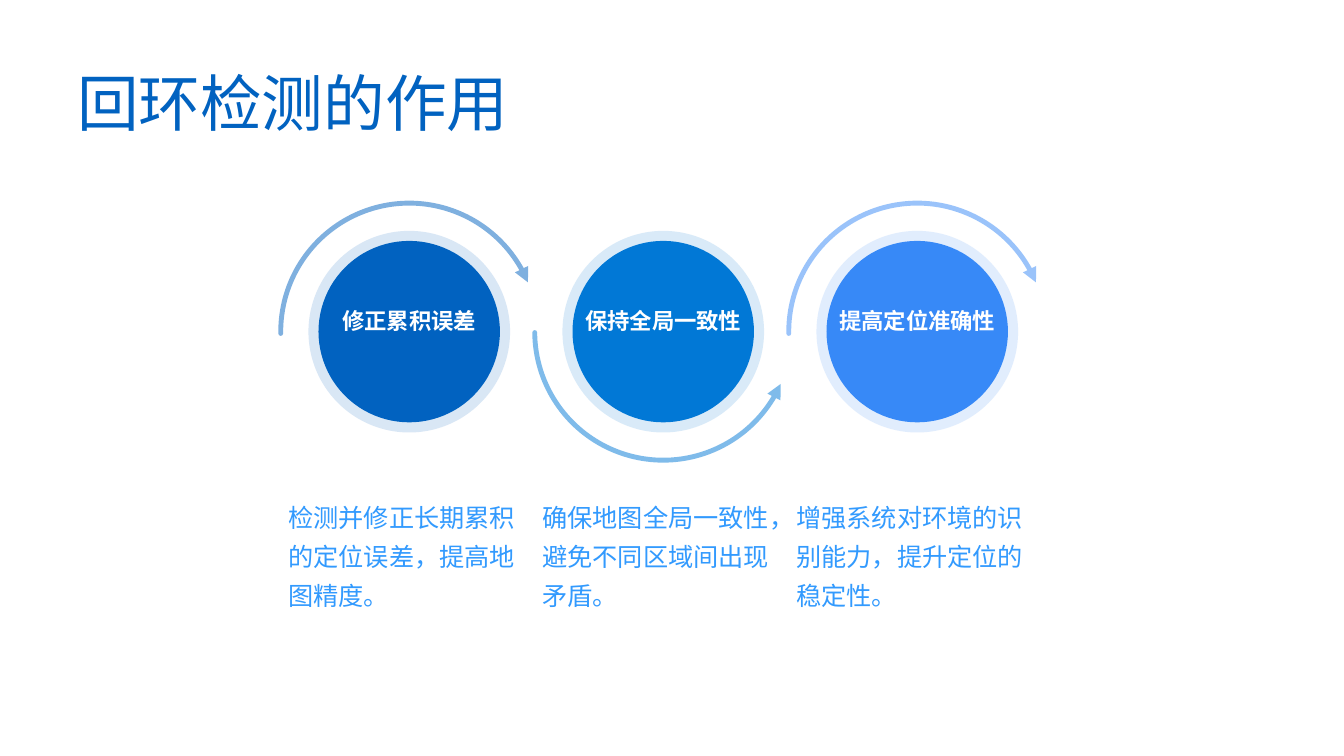
"""Build a slide on the role of loop closure detection."""
import dataclasses

import pptx
import pptx.dml.color
import pptx.enum.shapes
import pptx.enum.text
import pptx.oxml
import pptx.oxml.ns
import pptx.util

WIDTH, HEIGHT = pptx.util.Inches(13.333), pptx.util.Inches(7.5)
FONT = "Noto Sans CJK SC"
COLOURS = {
    "title": "0162C0",
    "body": "329AFE",
    "label": "FFFFFF",
    "navy": "0162C0",
    "blue": "0178D6",
    "sky": "3789F7",
}
FIRST_CENTRE, COLUMN_STEP, CENTRE_ROW = 0.3045, 0.189, 0.4387
HALO, DISC, ORBIT = 0.2667, 0.24, 0.34
SHAPES = pptx.enum.shapes.MSO_SHAPE
ALIGN = pptx.enum.text.PP_ALIGN
ANCHOR = pptx.enum.text.MSO_ANCHOR


@dataclasses.dataclass(frozen=True)
class Box:
    left: float
    top: float
    width: float
    height: float

    def lengths(self) -> tuple[int, int, int, int]:
        return (round(self.left * WIDTH), round(self.top * HEIGHT),
                round(self.width * WIDTH), round(self.height * HEIGHT))


@dataclasses.dataclass(frozen=True)
class TextStyle:
    size: int
    colour: str
    bold: bool = False
    spacing: float = 1.0
    align: ALIGN = ALIGN.LEFT
    anchor: ANCHOR = ANCHOR.TOP
    inset: float = 0.0


@dataclasses.dataclass(frozen=True)
class Arc:
    start: float
    end: float
    arrow: str


@dataclasses.dataclass(frozen=True)
class Benefit:
    label: str
    description: str
    colour: str
    arc: Arc


TITLE = TextStyle(44, "title", spacing=0.9, anchor=ANCHOR.MIDDLE, inset=0.1)
LABEL = TextStyle(16, "label", bold=True, align=ALIGN.CENTER, inset=0.04)
BODY = TextStyle(18, "body", spacing=1.3)
OVER = Arc(22.55, 180.8, "headEnd")
UNDER = Arc(180.4, 336, "tailEnd")
BENEFITS = [
    Benefit("修正累积误差", "检测并修正长期累积的定位误差，提高地图精度。", "navy", OVER),
    Benefit("保持全局一致性", "确保地图全局一致性，避免不同区域间出现矛盾。", "blue", UNDER),
    Benefit("提高定位准确性", "增强系统对环境的识别能力，提升定位的稳定性。", "sky", OVER),
]


def rgb(name: str) -> pptx.dml.color.RGBColor:
    return pptx.dml.color.RGBColor.from_string(COLOURS[name])


def append_element(parent, tag: str, **attributes: str) -> None:
    element = pptx.oxml.parse_xml(f"<a:{tag} {pptx.oxml.ns.nsdecls('a')}/>")
    for key, value in attributes.items():
        element.set(key, value)
    parent.append(element)


def set_opacity(element, percent: int) -> None:
    colour = element.find(".//" + pptx.oxml.ns.qn("a:srgbClr"))
    append_element(colour, "alpha", val=str(percent * 1000))


def add_text(slide, box: Box, text: str, style: TextStyle) -> None:
    frame = slide.shapes.add_textbox(*box.lengths()).text_frame
    frame.word_wrap = True
    frame.vertical_anchor = style.anchor
    inset = pptx.util.Inches(style.inset)
    frame.margin_left = frame.margin_right = inset
    frame.margin_top = frame.margin_bottom = min(inset, pptx.util.Inches(0.05))
    paragraph = frame.paragraphs[0]
    paragraph.text = text
    paragraph.alignment = style.align
    paragraph.line_spacing = style.spacing
    font = paragraph.font
    font.name = FONT
    font.size = pptx.util.Pt(style.size)
    font.bold = style.bold
    font.color.rgb = rgb(style.colour)
    append_element(paragraph._p.pPr.find(pptx.oxml.ns.qn("a:defRPr")), "ea", typeface=FONT)


def add_round(slide, kind: SHAPES, centre: float, diameter: float):
    width = diameter * HEIGHT / WIDTH
    box = Box(centre - width / 2, CENTRE_ROW - diameter / 2, width, diameter)
    shape = slide.shapes.add_shape(kind, *box.lengths())
    shape.shadow.inherit = False
    return shape


def add_disc(slide, centre: float, diameter: float, colour: str, opacity: int = 100) -> None:
    disc = add_round(slide, SHAPES.OVAL, centre, diameter)
    disc.fill.solid()
    disc.fill.fore_color.rgb = rgb(colour)
    disc.line.fill.background()
    if opacity < 100:
        set_opacity(disc._element.spPr, opacity)


def add_arc(slide, centre: float, arc: Arc, colour: str) -> None:
    shape = add_round(slide, SHAPES.ARC, centre, ORBIT)
    shape.adjustments[0] = arc.start * 0.6
    shape.adjustments[1] = arc.end * 0.6
    shape._element.spPr.xfrm.set("flipV", "1")
    shape.fill.background()
    shape.line.width = pptx.util.Pt(3.5)
    shape.line.color.rgb = rgb(colour)
    line = shape.line._get_or_add_ln()
    line.set("cap", "rnd")
    set_opacity(line, 50)
    append_element(line, arc.arrow, type="triangle")


def add_benefit(slide, centre: float, benefit: Benefit) -> None:
    add_disc(slide, centre, HALO, benefit.colour, opacity=15)
    add_disc(slide, centre, DISC, benefit.colour)
    add_arc(slide, centre, benefit.arc, benefit.colour)
    add_text(slide, Box(centre - 0.065, 0.4013, 0.13, 0.0747), benefit.label, LABEL)
    add_text(slide, Box(centre - 0.09, 0.652, 0.18, 0.19), benefit.description, BODY)


def main() -> None:
    presentation = pptx.Presentation()
    presentation.slide_width, presentation.slide_height = WIDTH, HEIGHT
    slide = presentation.slides.add_slide(presentation.slide_layouts[6])
    add_text(slide, Box(0.05, 0.089, 0.9, 0.103), "回环检测的作用", TITLE)
    for index, benefit in enumerate(BENEFITS):
        add_benefit(slide, FIRST_CENTRE + index * COLUMN_STEP, benefit)
    presentation.save("out.pptx")


if __name__ == "__main__":
    main()
